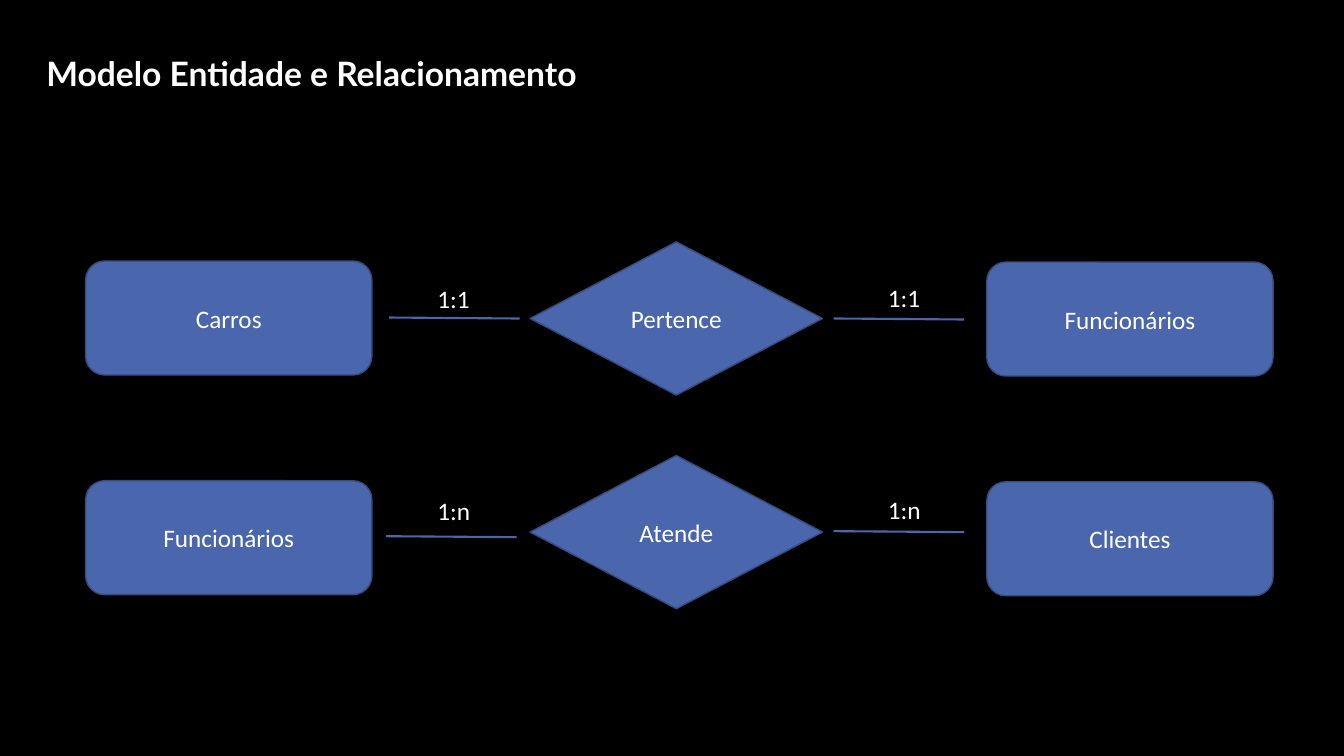
from dataclasses import dataclass

from lxml.etree import SubElement
from pptx import Presentation
from pptx.dml.color import RGBColor
from pptx.enum.shapes import MSO_CONNECTOR, MSO_SHAPE
from pptx.enum.text import MSO_ANCHOR, MSO_AUTO_SIZE, PP_ALIGN
from pptx.oxml.ns import qn
from pptx.util import Pt


@dataclass(frozen=True)
class Theme:
    """Colours, fonts and sizes of the slide."""
    background: RGBColor = RGBColor(0x00, 0x00, 0x00)
    text: RGBColor = RGBColor(0xFF, 0xFF, 0xFF)
    fill: RGBColor = RGBColor(0x4A, 0x66, 0xAC)
    outline: RGBColor = RGBColor(0x37, 0x4B, 0x7F)
    title_font: str = "Lato"
    body_font: str = "Calibri"
    title_size: float = 24
    body_size: float = 18
    outline_width: float = 1
    link_width: float = 1.5


@dataclass(frozen=True)
class Relationship:
    """Words of one relationship and the drops of its parts below the row top."""
    left_entity: str
    name: str
    right_entity: str
    cardinality: str
    top: float
    entity_drop: float
    left_link: tuple
    right_link: tuple
    label_drop: float


THEME = Theme()
ROW_LEFT, ROW_WIDTH = 61.2, 848.2
ENTITY_WIDTH, ENTITY_HEIGHT = 204.5, 81.4
DIAMOND_LEFT, DIAMOND_WIDTH, DIAMOND_HEIGHT = 317.5, 208.8, 109.4
LINK_WIDTH, SLOPE = 93.2, 0.72
LABEL_WIDTH, LABEL_HEIGHT = 38.2, 28.8
LEFT_LABEL, RIGHT_LABEL = 244.1, 565.9

RELATIONSHIPS = [
    Relationship("Carros", "Pertence", "Funcionários", "1:1", 172.8,
                 13.7, (216.7, 54), (534.2, 54.7), 25.9),
    Relationship("Funcionários", "Atende", "Clientes", "1:n", 325.4,
                 18, (214.6, 57.6), (534.2, 54), 25.2),
]


def apply_format(target, values):
    """Set each named attribute of the target."""
    for name, value in values.items():
        setattr(target, name, value)


def write_text(frame, text, frame_format, para_format, font_format):
    """Write one formatted paragraph in a text frame."""
    apply_format(frame, frame_format)
    para = frame.paragraphs[0]
    apply_format(para, para_format)
    span = para.add_run()
    span.text = text
    apply_format(span.font, font_format)
    span.font.color.rgb = THEME.text


def body_font():
    """Give the font format of the diagram."""
    return {"name": THEME.body_font, "size": Pt(THEME.body_size)}


def add_title(page, text, box):
    """Place and format the title placeholder."""
    title = page.shapes.title
    apply_format(title, dict(zip(("left", "top", "width", "height"), map(Pt, box))))
    write_text(title.text_frame, text,
               {"vertical_anchor": MSO_ANCHOR.MIDDLE, "word_wrap": True,
                "auto_size": MSO_AUTO_SIZE.NONE},
               {"alignment": PP_ALIGN.LEFT, "line_spacing": 0.9},
               {"name": THEME.title_font, "size": Pt(THEME.title_size), "bold": True})


def add_node(page, kind, text, box):
    """Draw an entity or a relationship shape."""
    node = page.shapes.add_shape(kind, *map(Pt, box))
    node.shadow.inherit = False
    node.fill.solid()
    node.fill.fore_color.rgb = THEME.fill
    node.line.color.rgb = THEME.outline
    node.line.width = Pt(THEME.outline_width)
    write_text(node.text_frame, text, {"vertical_anchor": MSO_ANCHOR.MIDDLE},
               {"alignment": PP_ALIGN.CENTER}, body_font())


def add_link(page, left, top):
    """Draw one slightly falling line."""
    link = page.shapes.add_connector(
        MSO_CONNECTOR.STRAIGHT, Pt(left), Pt(top), Pt(left + LINK_WIDTH), Pt(top + SLOPE))
    link.line.color.rgb = THEME.fill
    link.line.width = Pt(THEME.link_width)
    SubElement(link._element.spPr, qn("a:effectLst"))


def add_label(page, text, left, top):
    """Write a cardinality above a line."""
    label = page.shapes.add_textbox(Pt(left), Pt(top), Pt(LABEL_WIDTH), Pt(LABEL_HEIGHT))
    write_text(label.text_frame, text,
               {"word_wrap": False, "auto_size": MSO_AUTO_SIZE.SHAPE_TO_FIT_TEXT},
               {"alignment": PP_ALIGN.LEFT}, body_font())


def add_relationship(page, row, left, width):
    """Draw two entities joined by a relationship."""
    add_node(page, MSO_SHAPE.DIAMOND, row.name,
             (left + DIAMOND_LEFT, row.top, DIAMOND_WIDTH, DIAMOND_HEIGHT))
    sides = [
        (row.left_entity, 0, row.left_link, LEFT_LABEL, 0),
        (row.right_entity, width - ENTITY_WIDTH, row.right_link, RIGHT_LABEL, SLOPE),
    ]
    for entity, entity_left, (link_left, link_drop), label_left, shift in sides:
        add_node(page, MSO_SHAPE.ROUNDED_RECTANGLE, entity,
                 (left + entity_left, row.top + row.entity_drop + shift,
                  ENTITY_WIDTH, ENTITY_HEIGHT))
        add_link(page, left + link_left, row.top + link_drop)
        add_label(page, row.cardinality, left + label_left, row.top + row.label_drop - shift)


def main():
    """Build and save the deck."""
    deck = Presentation()
    apply_format(deck, {"slide_width": Pt(960), "slide_height": Pt(540)})
    page = deck.slides.add_slide(deck.slide_layouts[5])
    page.background.fill.solid()
    page.background.fill.fore_color.rgb = THEME.background
    add_title(page, "Modelo Entidade e Relacionamento", (25.9, 33.1, 396, 42.5))
    for row in RELATIONSHIPS:
        add_relationship(page, row, ROW_LEFT, ROW_WIDTH)
    deck.save("out.pptx")


if __name__ == "__main__":
    main()
